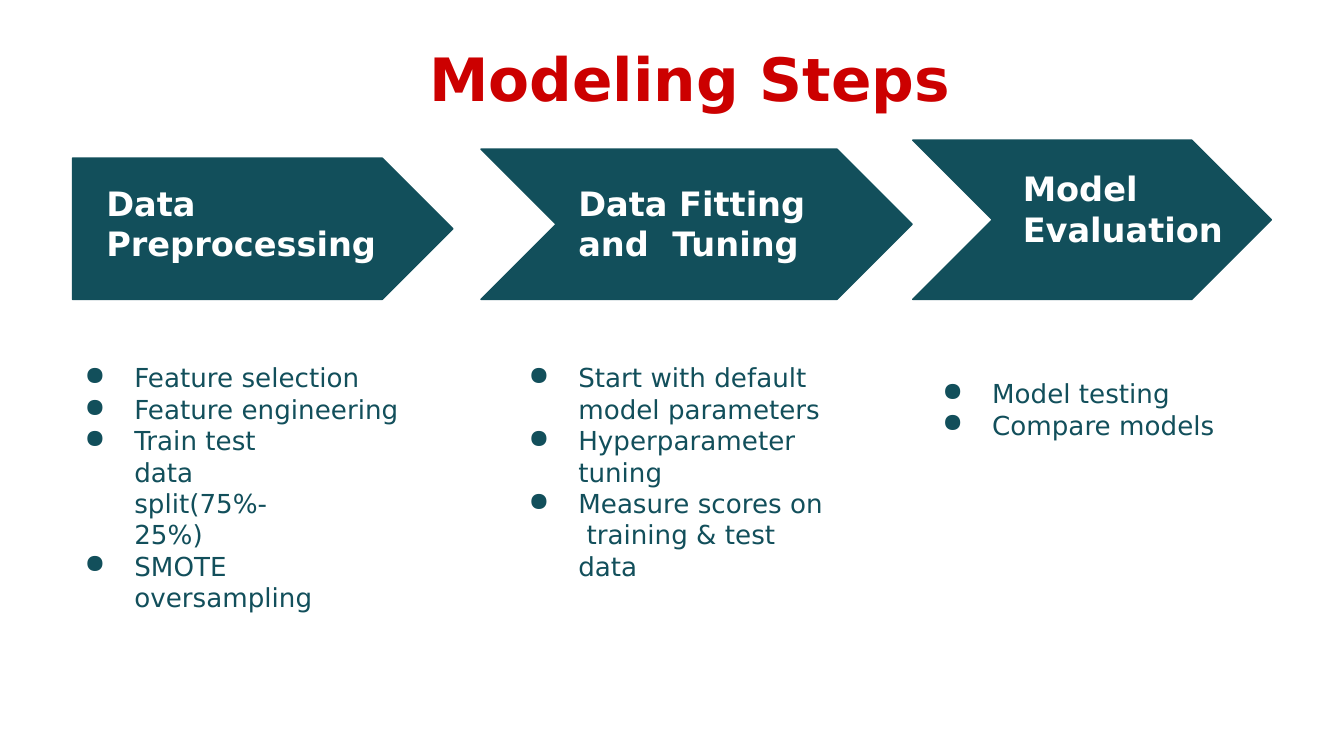
import pptx
import pptx.util
from lxml import etree
from pptx.dml.color import RGBColor
from pptx.enum.shapes import MSO_SHAPE
from pptx.enum.text import MSO_ANCHOR, MSO_AUTO_SIZE, PP_ALIGN
from pptx.oxml.ns import qn
from pptx.util import Cm

FONT = "DejaVu Sans"
RED = RGBColor(0xCC, 0x00, 0x00)
TEAL = RGBColor(0x12, 0x4F, 0x5B)
WHITE = RGBColor(0xFF, 0xFF, 0xFF)

TITLE = "Modeling Steps"
TITLE_BOX = (8.08, 0.76, 15.52, 1.4)

# Boxes are left, top, width, height in cm; arrows are left, width, height.
# Right margins (cm) are keyed by the index of the item they narrow.
STEPS = [
    {
        "heading": "Data Preprocessing",
        "preset": MSO_SHAPE.PENTAGON,
        "arrow": (1.37, 7.19, 2.67),
        "heading_box": (1.98, 3.43, 5.74, 1.58),
        "items": ["Feature selection", "Feature engineering",
                  "Train test data split(75%-25%)", "SMOTE oversampling"],
        "items_box": (1.57, 6.81, 6.07, 3.63),
        "right_margins": {2: 2.2, 3: 0.6},
    },
    {
        "heading": "Data Fitting and  Tuning",
        "preset": MSO_SHAPE.CHEVRON,
        "arrow": (9.09, 8.15, 2.84),
        "heading_box": (10.9, 3.43, 5.51, 1.58),
        "items": ["Start with default model parameters",
                  "Hyperparameter  tuning",
                  "Measure scores on  training & test data"],
        "items_box": (9.96, 6.81, 5.74, 3.63),
        "right_margins": {},
    },
    {
        "heading": "Model Evaluation",
        "preset": MSO_SHAPE.CHEVRON,
        "arrow": (17.25, 6.78, 3.01),
        "heading_box": (19.3, 3.15, 4.72, 1.58),
        "items": ["Model testing", "Compare models"],
        "items_box": (17.78, 7.11, 5.26, 1.25),
        "right_margins": {},
    },
]
ARROW_BOTTOM = 5.66


def add_bullet(paragraph, color, right_margin):
    properties = paragraph._p.get_or_add_pPr()
    properties.set("marL", str(Cm(0.97)))
    properties.set("marR", str(Cm(right_margin)))
    properties.set("indent", str(Cm(-0.94)))
    bullet_color = etree.SubElement(properties, qn("a:buClr"))
    etree.SubElement(bullet_color, qn("a:srgbClr"), val=str(color))
    etree.SubElement(properties, qn("a:buChar"), char="●")


def write_text(shape, lines, size, color, bold=False, bullets=False,
               right_margins=None):
    frame = shape.text_frame
    frame.word_wrap = True
    frame.auto_size = MSO_AUTO_SIZE.NONE
    frame.vertical_anchor = MSO_ANCHOR.TOP
    frame.margin_left = 0 if bullets else Cm(0.03)
    frame.margin_right = frame.margin_bottom = 0
    frame.margin_top = Cm(0.03)
    for index, line in enumerate(lines):
        paragraph = frame.add_paragraph() if index else frame.paragraphs[0]
        paragraph.alignment = PP_ALIGN.LEFT
        run = paragraph.add_run()
        run.text = line
        run.font.name = FONT
        run.font.size = pptx.util.Pt(size)
        run.font.bold = bold
        run.font.color.rgb = color
        if bullets:
            add_bullet(paragraph, color, (right_margins or {}).get(index, 0))


def add_arrow(slide, preset, left, width, height):
    arrow = slide.shapes.add_shape(
        preset, Cm(left), Cm(ARROW_BOTTOM - height), Cm(width), Cm(height))
    arrow.shadow.inherit = False
    arrow.fill.solid()
    arrow.fill.fore_color.rgb = TEAL
    arrow.line.color.rgb = TEAL
    arrow.line.width = pptx.util.Pt(0.75)


def add_text_box(slide, box, lines, **text_format):
    shape = slide.shapes.add_textbox(*map(Cm, box))
    write_text(shape, lines, **text_format)


def main():
    presentation = pptx.Presentation()
    presentation.slide_width = Cm(25.4)
    presentation.slide_height = Cm(14.29)
    slide = presentation.slides.add_slide(presentation.slide_layouts[5])

    title = slide.shapes.title
    title.left, title.top, title.width, title.height = map(Cm, TITLE_BOX)
    write_text(title, [TITLE], size=32, color=RED, bold=True)

    for step in STEPS:
        add_arrow(slide, step["preset"], *step["arrow"])
    for step in STEPS:
        add_text_box(slide, step["heading_box"], [step["heading"]],
                     size=18, color=WHITE, bold=True)
        add_text_box(slide, step["items_box"], step["items"],
                     size=14, color=TEAL, bullets=True,
                     right_margins=step["right_margins"])

    presentation.save("out.pptx")


if __name__ == "__main__":
    main()
